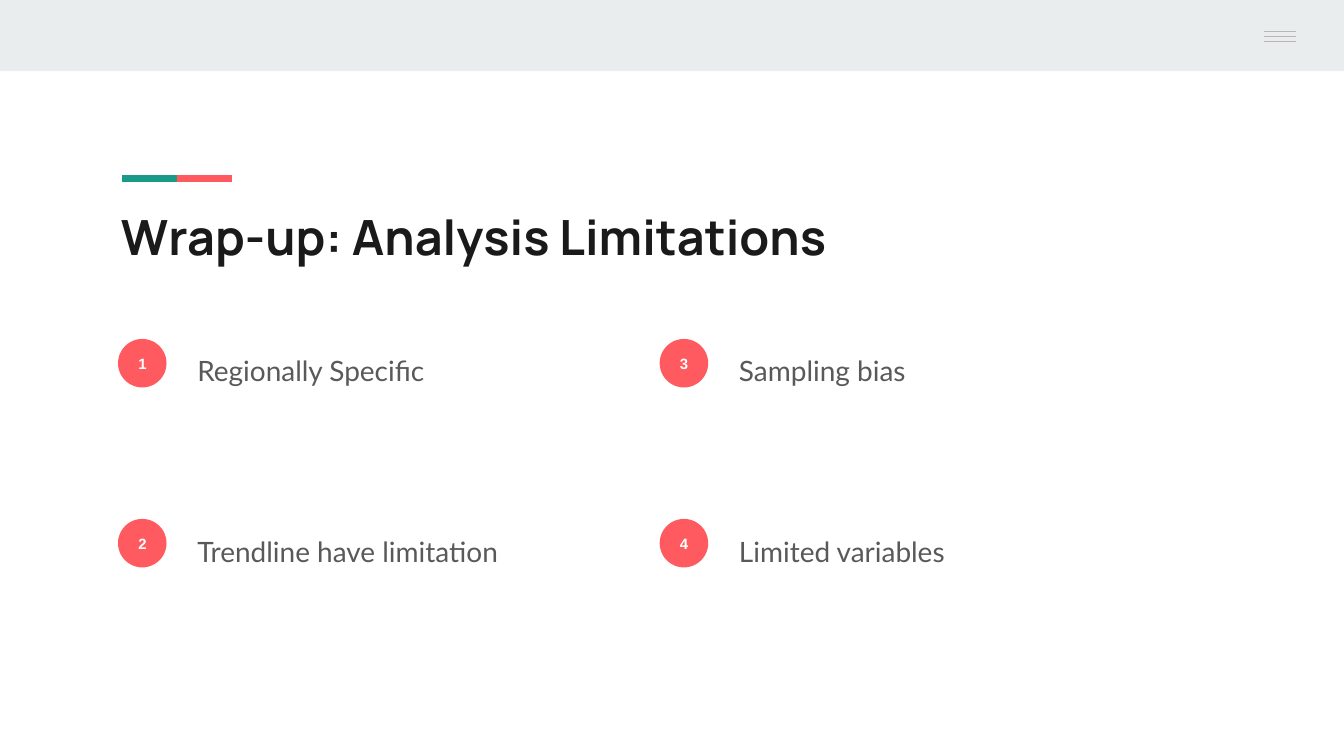
import lxml.etree
import pptx
import pptx.dml.color
import pptx.enum.shapes
import pptx.enum.text
import pptx.oxml.ns
import pptx.util

Pt = pptx.util.Pt
Shapes = pptx.enum.shapes.MSO_SHAPE
Anchor = pptx.enum.text.MSO_ANCHOR
Align = pptx.enum.text.PP_ALIGN

COLORS = {
    "band": "E9EDEE",
    "coral": "FF5A5F",
    "teal": "1A9988",
    "menu": "B7B7B7",
    "title": "1A1A1A",
    "body": "595959",
    "number": "FFFFFF",
}
# Text and height of its box, read down the columns
LIMITATIONS = [
    ("Regionally Specific", 36.7),
    ("Trendline have limitation", 42.5),
    ("Sampling bias", 28.1),
    ("Limited variables", 36.7),
]
ROWS = 2
COLUMN_STEP = 290.2
INSET = 7.2


def rgb(name):
    return pptx.dml.color.RGBColor.from_string(COLORS[name])


def add_filled_shape(slide, kind, color, left, top, width, height):
    shape = slide.shapes.add_shape(kind, Pt(left), Pt(top), Pt(width), Pt(height))
    shape.shadow.inherit = False
    shape.fill.solid()
    shape.fill.fore_color.rgb = rgb(color)
    shape.line.fill.background()
    return shape


def add_menu_line(slide, top):
    line = slide.shapes.add_connector(
        pptx.enum.shapes.MSO_CONNECTOR.STRAIGHT, Pt(677), Pt(top), Pt(694.2), Pt(top)
    )
    line.line.color.rgb = rgb("menu")
    line.line.width = Pt(0.75)
    properties = line._element.spPr
    lxml.etree.SubElement(properties, pptx.oxml.ns.qn("a:effectLst"))


def write_text(shape, text, font, size, color, bold, align, anchor):
    """Fill the shape with one formatted run and return its paragraph."""
    frame = shape.text_frame
    frame.word_wrap = True
    frame.auto_size = pptx.enum.text.MSO_AUTO_SIZE.NONE
    frame.vertical_anchor = anchor
    frame.margin_left = frame.margin_right = Pt(INSET)
    frame.margin_top = frame.margin_bottom = Pt(INSET)
    paragraph = frame.paragraphs[0]
    paragraph.alignment = align
    paragraph.space_before = Pt(0)
    run = paragraph.add_run()
    run.text = text
    run.font.name = font
    run.font.size = Pt(size)
    run.font.bold = bold
    run.font.color.rgb = rgb(color)
    return paragraph


def place(shape, left, top, width, height):
    shape.left, shape.top = Pt(left), Pt(top)
    shape.width, shape.height = Pt(width), Pt(height)


def remove_bullet(paragraph):
    properties = paragraph._p.get_or_add_pPr()
    properties.set("marL", "0")
    properties.set("indent", "0")
    lxml.etree.SubElement(properties, pptx.oxml.ns.qn("a:buNone"))


def add_header(slide):
    add_filled_shape(slide, Shapes.RECTANGLE, "band", 0, 0, 720, 38.2)
    for index, color in enumerate(("teal", "coral")):
        add_filled_shape(
            slide, Shapes.RECTANGLE, color, 65.4 + index * 29.4, 93.8, 29.4, 3.7
        )
    for index in range(3):
        add_menu_line(slide, 17 + index * 2.6)


def add_title(slide):
    title = slide.shapes.title
    place(title, 57.6, 103.7, 605.5, 42.5)
    write_text(title, "Wrap-up: Analysis Limitations", "Manrope", 26, "title",
               True, Align.LEFT, Anchor.TOP)


def add_limitation(slide, placeholder, index, text, height):
    column, row = divmod(index, ROWS)
    offset = column * COLUMN_STEP
    badge = add_filled_shape(
        slide, Shapes.OVAL, "coral", 63.2 + offset, 181.6 + row * 96.4, 26, 26
    )
    write_text(badge, str(index + 1), "Arial", 8, "number",
               True, Align.CENTER, Anchor.MIDDLE)
    place(placeholder, 98.5 + offset, 179.3 + row * 97.2, 223.2, height)
    paragraph = write_text(placeholder, text, "Lato", 15, "body",
                           False, Align.LEFT, Anchor.TOP)
    paragraph.line_spacing = 1.15
    paragraph.space_after = Pt(16)
    remove_bullet(paragraph)


def main():
    presentation = pptx.Presentation()
    presentation.slide_width, presentation.slide_height = Pt(720), Pt(405)
    comparison_layout = presentation.slide_layouts[4]
    slide = presentation.slides.add_slide(comparison_layout)
    add_header(slide)
    add_title(slide)
    for index, (text, height) in enumerate(LIMITATIONS):
        add_limitation(slide, slide.placeholders[index + 1], index, text, height)
    presentation.save("out.pptx")


if __name__ == "__main__":
    main()
